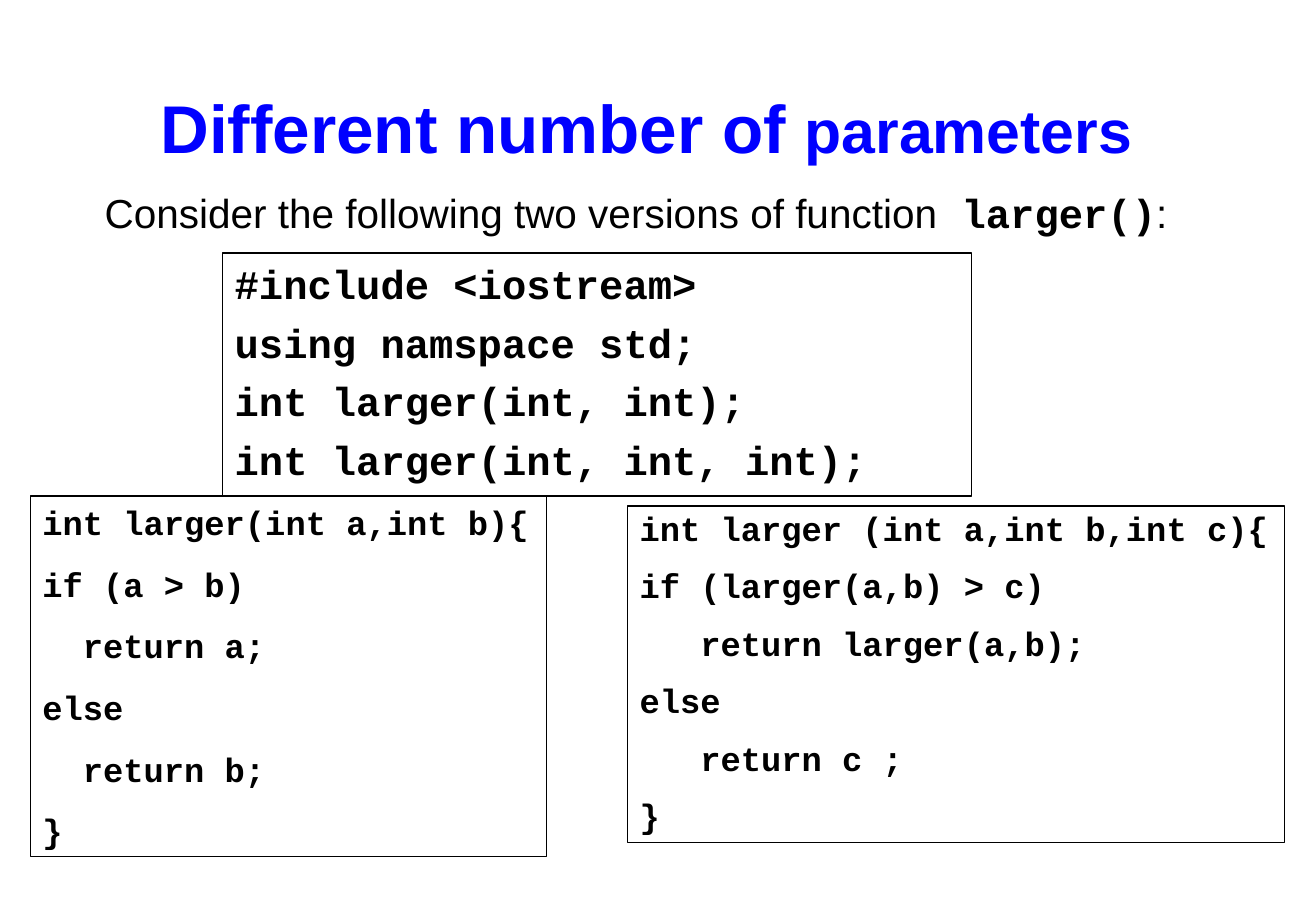
"""Build the slide on overloading a function by its number of parameters."""
from pptx import Presentation
from pptx.dml.color import RGBColor
from pptx.enum.text import MSO_ANCHOR, MSO_AUTO_SIZE, PP_ALIGN
from pptx.util import Pt

CENTER, LEFT = PP_ALIGN.CENTER, PP_ALIGN.LEFT
MIDDLE = MSO_ANCHOR.MIDDLE
FIXED, GROW = MSO_AUTO_SIZE.NONE, MSO_AUTO_SIZE.SHAPE_TO_FIT_TEXT
SLIDE_SIZE = (780, 540)
BLUE, BLACK = "0000FF", "000000"
SANS, MONO = "Arial", "Courier New"
CHAR_WIDTH = 0.6

HEADING = [("Different number of ", SANS, 40, True), ("parameters", SANS, 36, True)]
HEADING_BOX = (41.76, 54, 682.56, 41.76)
INTRO = [
    ("Consider the following two versions of function", SANS, 24, False),
    (" larger()", MONO, 24, True),
    (":", SANS, 24, False),
]
INTRO_BOX = (54.72, 108, 644.4, 36)

LISTINGS = [
    {
        "box": (132, 150, 444, 144),
        "size": 24,
        "auto_size": FIXED,
        "spacing": {"space_before": Pt(6), "line_spacing": 1.0},
        "code": [
            (0, "#include <iostream>"),
            (0, "using namspace std;"),
            (0, "int larger(int, int);"),
            (0, "int larger(int, int, int);"),
        ],
    },
    {
        "box": (372, 300, 389.5, 199.5),
        "size": 20,
        "auto_size": GROW,
        "spacing": {"space_before": Pt(12.5), "line_spacing": 0.9},
        "code": [
            (0, "int larger (int a,int b,int c){"),
            (0, "if (larger(a,b) > c)"),
            (3, "return larger(a,b);"),
            (0, "else"),
            (3, "return c ;"),
            (0, "}"),
        ],
    },
    {
        "box": (18, 294, 306, 213.8),
        "size": 20,
        "auto_size": GROW,
        "spacing": {"space_before": Pt(12.5), "line_spacing": 1.0},
        "code": [
            (0, "int larger(int a,int b){"),
            (0, "if (a > b)"),
            (2, "return a;"),
            (0, "else"),
            (2, "return b;"),
            (0, "}"),
        ],
    },
]


def color(value):
    """Turn a hex string into a colour."""
    return RGBColor.from_string(value)


def apply(target, formats):
    """Set every attribute named in a dict of format values."""
    for key, value in formats.items():
        setattr(target, key, value)


def add_runs(paragraph, runs, ink):
    """Write runs of (text, font, size, bold) into a paragraph."""
    for text, font, size, bold in runs:
        run = paragraph.add_run()
        run.text = text
        apply(run.font, {"name": font, "size": Pt(size), "bold": bold})
        run.font.color.rgb = color(ink)


def add_listing(slide, listing):
    """Add an outlined box with one paragraph for each line of code."""
    panel = slide.shapes.add_textbox(*map(Pt, listing["box"]))
    panel.line.color.rgb = color(BLACK)
    panel.line.width = Pt(0.75)
    frame = panel.text_frame
    apply(frame, {"word_wrap": True, "auto_size": listing["auto_size"]})
    size = listing["size"]
    for index, (indent, text) in enumerate(listing["code"]):
        line = frame.add_paragraph() if index else frame.paragraphs[0]
        apply(line, {"alignment": LEFT, **listing["spacing"]})
        if indent:
            margin = Pt(indent * size * CHAR_WIDTH)
            line._p.get_or_add_pPr().set("marL", str(margin))
        add_runs(line, [(text, MONO, size, True)], BLACK)


def main():
    """Assemble and save the slide."""
    deck = Presentation()
    deck.slide_width, deck.slide_height = map(Pt, SLIDE_SIZE)
    slide = deck.slides.add_slide(deck.slide_layouts[5])

    heading = slide.shapes.title
    apply(heading, dict(zip(("left", "top", "width", "height"), map(Pt, HEADING_BOX))))
    apply(heading.text_frame, {"vertical_anchor": MIDDLE, "auto_size": FIXED, "word_wrap": True})
    heading.text_frame.paragraphs[0].alignment = CENTER
    add_runs(heading.text_frame.paragraphs[0], HEADING, BLUE)

    intro = slide.shapes.add_textbox(*map(Pt, INTRO_BOX)).text_frame
    apply(intro, {"word_wrap": False, "auto_size": GROW})
    intro.paragraphs[0].alignment = CENTER
    add_runs(intro.paragraphs[0], INTRO, BLACK)

    for listing in LISTINGS:
        add_listing(slide, listing)
    deck.save("out.pptx")


if __name__ == "__main__":
    main()
